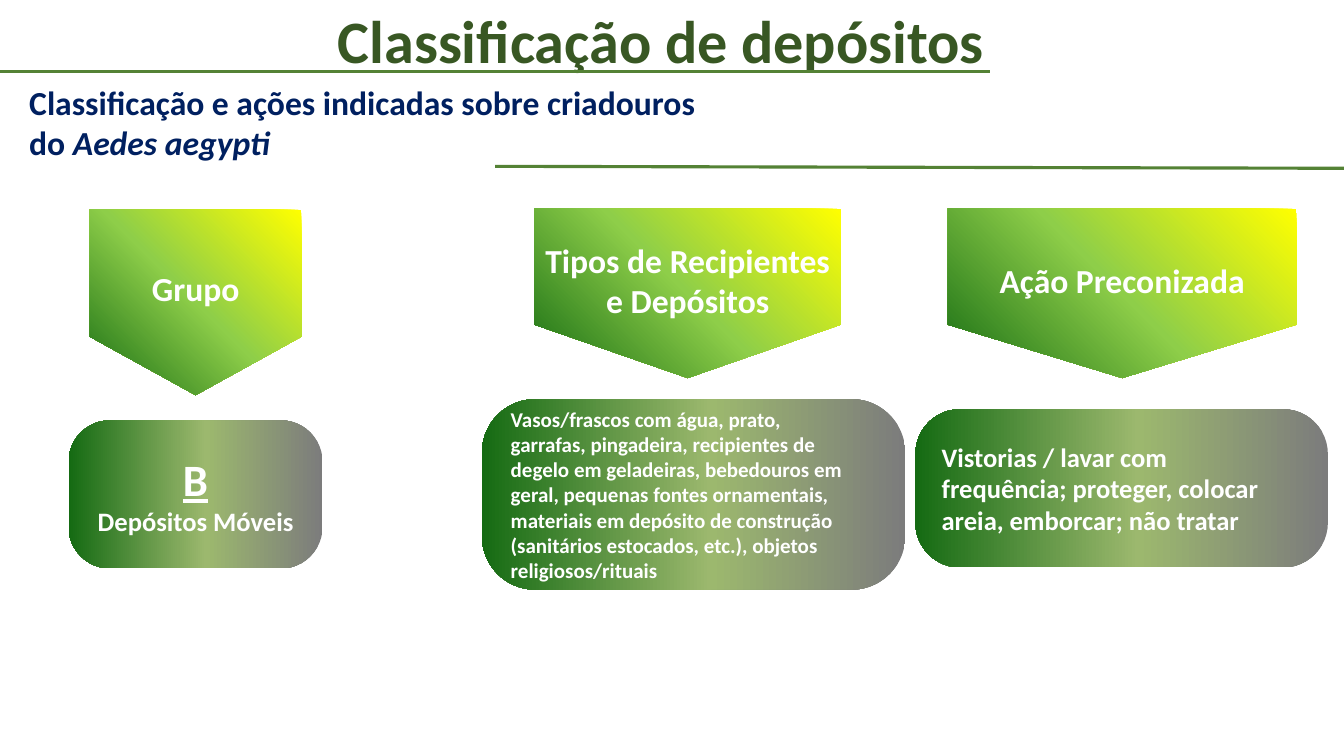
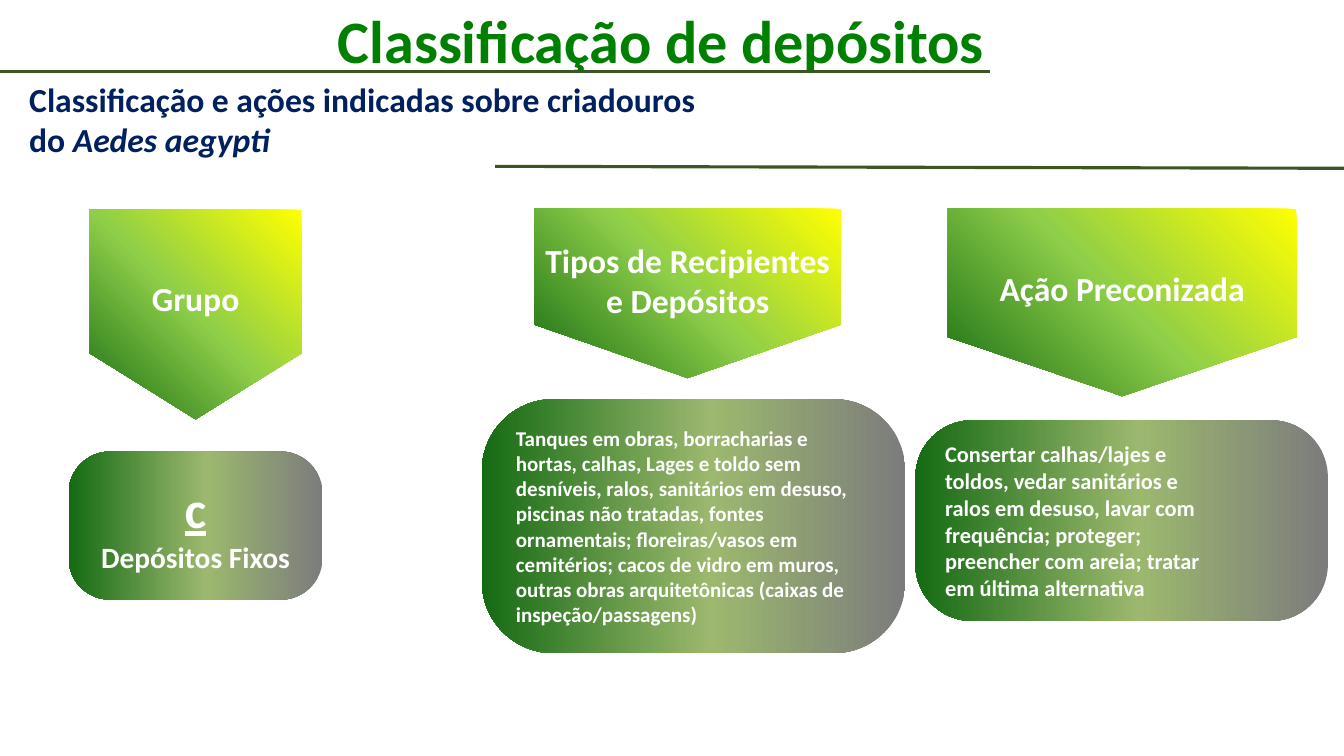
from pptx import Presentation
from pptx.dml.color import RGBColor
from pptx.enum.shapes import MSO_CONNECTOR as Connector, MSO_SHAPE as Shape
from pptx.enum.text import MSO_ANCHOR as Anchor, PP_ALIGN as Align
from pptx.oxml import parse_xml
from pptx.oxml.ns import nsdecls, qn
from pptx.util import Emu, Pt

PX = 9144
FONT = "Calibri"
WHITE, NAVY, GREEN, MOSS, LEAF = "FFFFFF", "002060", "008000", "385723", "548235"
ARROW_STOPS = [(0, "FFFF00"), (50, "8ECE49"), (100, "156B13")]
CARD_STOPS = [(0, "7C7C7C"), (46, "9CB86E"), (100, "156B13")]
INSETS = {"margin_left": 13, "margin_right": 13, "margin_top": 7, "margin_bottom": 7}
TITLE = "Classificação de depósitos"
SUBTITLE = [
    [("Classificação e ações indicadas sobre criadouros", {})],
    [("do ", {}), ("Aedes aegypti", {"italic": True})],
]
COLUMNS = [
    ("Grupo", 89, 208, 210),
    ("Tipos de Recipientes e Depósitos", 530, 207, 304),
    ("Ação Preconizada", 940, 207, 346),
]
GROUP_X, TYPES_X, ACTION_X = (68, 252), (478, 420), (908, 409)

SLIDES = [
    {
        "title_color": MOSS, "rule_color": LEAF, "subtitle_y": 74,
        "arrow_heights": [184, 168, 168],
        "group": ("B", 32, "Depósitos Móveis", 19, 417, 147),
        "types": (15, 396, 189, [
            "Vasos/frascos com água, prato,",
            "garrafas, pingadeira, recipientes de",
            "degelo em geladeiras, bebedouros em",
            "geral, pequenas fontes ornamentais,",
            "materiais em depósito de construção",
            "(sanitários estocados, etc.), objetos",
            "religiosos/rituais",
        ]),
        "action": (19, 406, 157, [
            "Vistorias / lavar com",
            "frequência; proteger, colocar",
            "areia, emborcar; não tratar",
        ]),
    },
    {
        "title_color": GREEN, "rule_color": MOSS, "subtitle_y": 71,
        "arrow_heights": [208, 168, 186],
        "group": ("c", 37, "Depósitos Fixos", 21, 448, 147),
        "types": (15, 396, 252, [
            "Tanques em obras, borracharias e",
            "hortas, calhas, Lages e toldo sem",
            "desníveis, ralos, sanitários em desuso,",
            "piscinas não tratadas, fontes",
            "ornamentais; floreiras/vasos em",
            "cemitérios; cacos de vidro em muros,",
            "outras obras arquitetônicas (caixas de",
            "inspeção/passagens)",
        ]),
        "action": (16, 417, 199, [
            "Consertar calhas/lajes e",
            "toldos, vedar sanitários e",
            "ralos em desuso, lavar com",
            "frequência; proteger;",
            "preencher com areia; tratar",
            "em última alternativa",
        ]),
    },
]


def px(*lengths):
    """Turn lengths in px into EMU."""
    return [Emu(round(length * PX)) for length in lengths]


def rgb(value):
    """Turn a hex string into a colour."""
    return RGBColor.from_string(value)


def apply(target, values):
    """Set every attribute of the dict on the target."""
    for name, value in values.items():
        setattr(target, name, value)


def write(frame, paragraphs, size, color, align=Align.LEFT, anchor=Anchor.MIDDLE, spacing=1.0):
    """Fill a text frame with paragraphs made of (text, font values) runs."""
    apply(frame, {"word_wrap": True, "vertical_anchor": anchor})
    apply(frame, {side: px(inset)[0] for side, inset in INSETS.items()})
    for index, runs in enumerate(paragraphs):
        paragraph = frame.add_paragraph() if index else frame.paragraphs[0]
        apply(paragraph, {"alignment": align, "line_spacing": spacing})
        for text, values in runs:
            run = paragraph.add_run()
            run.text = text
            apply(run.font, {"name": FONT, "size": Pt(size), "bold": True, **values})
            run.font.color.rgb = rgb(color)


def add_text(slide, box, paragraphs, size, color, **layout):
    """Add a text box."""
    frame = slide.shapes.add_textbox(*px(*box)).text_frame
    write(frame, paragraphs, size, color, **layout)


def add_rule(slide, start, end, color):
    """Add a straight rule without shadow."""
    rule = slide.shapes.add_connector(Connector.STRAIGHT, *px(*start, *end))
    rule.line.color.rgb = rgb(color)
    rule.line.width = Pt(2.25)
    rule._element.spPr.append(parse_xml(f"<a:effectLst {nsdecls('a')}/>"))


def add_gradient_shape(slide, preset, box, adjustment, stops, angle):
    """Add a borderless preset shape with a linear gradient."""
    shape = slide.shapes.add_shape(preset, *px(*box))
    shape.adjustments[0] = adjustment
    marks = "".join(
        f'<a:gs pos="{position * 1000}"><a:srgbClr val="{color}"/></a:gs>'
        for position, color in stops
    )
    gradient = parse_xml(
        f'<a:gradFill {nsdecls("a")} rotWithShape="1"><a:gsLst>{marks}</a:gsLst>'
        f'<a:lin ang="{angle * 60000}" scaled="1"/></a:gradFill>'
    )
    shape._element.spPr.find(qn("a:prstGeom")).addnext(gradient)
    shape.line.fill.background()
    shape.shadow.inherit = False
    return shape


def add_arrow(slide, heading, left, top, width, height):
    """Add a downward column arrow whose heading reads upright."""
    shift = (width - height) / 2
    box = (left + shift, top - shift, height, width)
    arrow = add_gradient_shape(slide, Shape.PENTAGON, box, 0.315, ARROW_STOPS, 45)
    arrow.rotation = 90
    write(arrow.text_frame, [[(heading, {})]], 24, WHITE, Align.CENTER)
    arrow.text_frame._txBody.bodyPr.set("vert", "vert270")


def add_card(slide, column, top, height, paragraphs, size, align=Align.LEFT):
    """Add a rounded card below a column arrow."""
    left, width = column
    box = (left, top, width, height)
    card = add_gradient_shape(slide, Shape.ROUNDED_RECTANGLE, box, 0.282, CARD_STOPS, 180)
    write(card.text_frame, paragraphs, size, WHITE, align)


def add_header(slide, content):
    """Add the title, the subtitle and their rules."""
    add_text(slide, (322, -3, 712, 94), [[(TITLE, {})]], 43, content["title_color"], spacing=0.9)
    add_text(slide, (16, content["subtitle_y"], 1291, 94), SUBTITLE, 24, NAVY, anchor=Anchor.TOP)
    add_rule(slide, (0, 71), (982, 71), content["rule_color"])
    add_rule(slide, (491, 165), (1339, 167), content["rule_color"])


def build_slide(deck, content):
    """Build one classification slide."""
    slide = deck.slides.add_slide(deck.slide_layouts[6])
    add_header(slide, content)
    for column, height in zip(COLUMNS, content["arrow_heights"]):
        add_arrow(slide, *column, height)
    letter, letter_size, group, group_size, top, height = content["group"]
    label = [[(letter, {"size": Pt(letter_size), "underline": True})], [(group, {})]]
    add_card(slide, GROUP_X, top, height, label, group_size, Align.CENTER)
    for column, part in ((TYPES_X, "types"), (ACTION_X, "action")):
        size, top, height, lines = content[part]
        add_card(slide, column, top, height, [[(line, {})] for line in lines], size)


def main():
    """Build and save the deck."""
    deck = Presentation()
    deck.slide_width, deck.slide_height = px(1333, 750)
    for content in SLIDES:
        build_slide(deck, content)
    deck.save("out.pptx")


if __name__ == "__main__":
    main()
